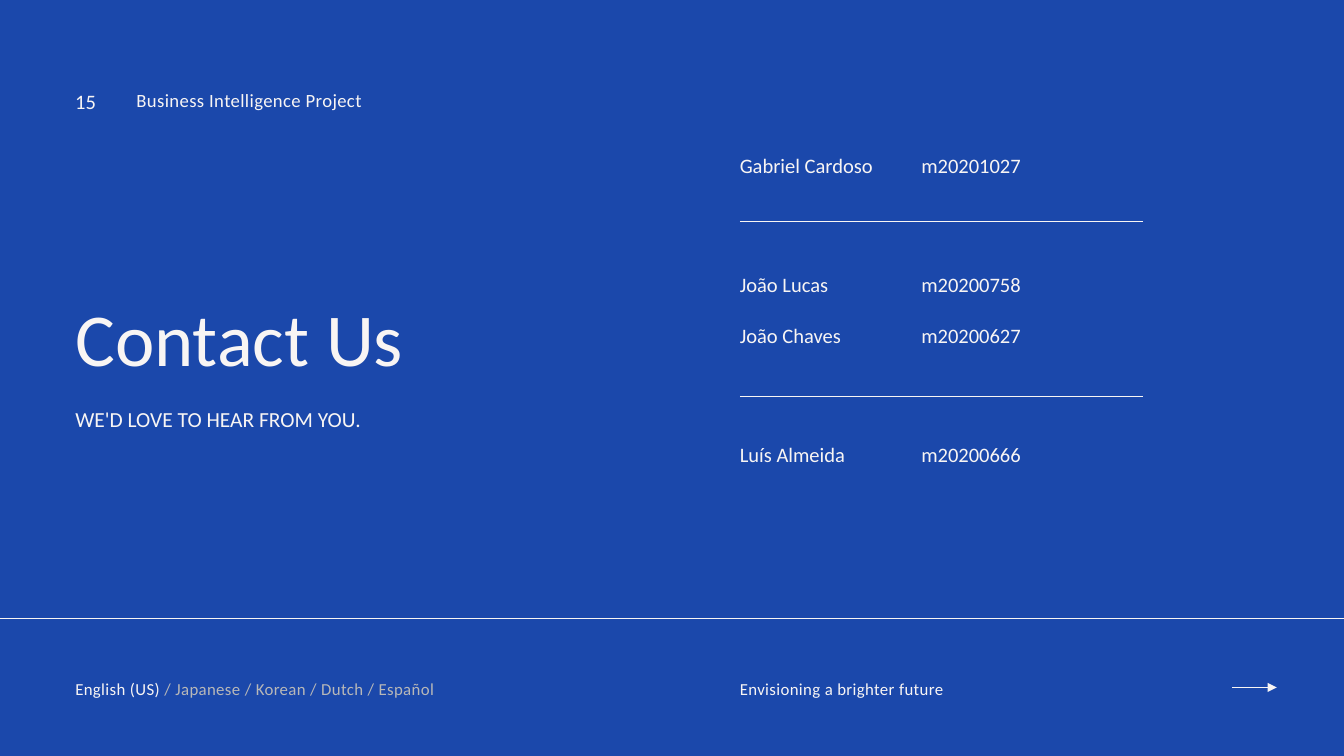
"""Build the closing contact slide with its team list and footer."""
import dataclasses

import pptx
import pptx.dml.color
import pptx.enum.shapes
import pptx.enum.text
import pptx.oxml
import pptx.oxml.ns
import pptx.util

Inches = pptx.util.Inches
Pt = pptx.util.Pt
RGB = pptx.dml.color.RGBColor.from_string


@dataclasses.dataclass(frozen=True)
class Theme:
    back: str = "1B48AB"
    light: str = "F8F5F4"
    muted: str = "B8B8B8"
    font: str = "Calibri"
    title: int = 80
    tag: int = 23
    body: int = 22
    head: int = 20
    foot: int = 18
    track: int = 40


THEME = Theme()
LEFT, RIGHT, WIDE = 1.12, 11.01, 6
TAB = 2.7
TEAM = (
    ("Gabriel Cardoso", "m20201027", 2.21),
    ("João Lucas", "m20200758", 3.98),
    ("João Chaves", "m20200627", 4.74),
    ("Luís Almeida", "m20200666", 6.52),
)


def add_node(parent, xml):
    node = pptx.oxml.parse_xml(xml.replace("/>", f" {pptx.oxml.ns.nsdecls('a')}/>", 1)
                               if xml.endswith("/>") and xml.count("<") == 1
                               else xml.replace(">", f" {pptx.oxml.ns.nsdecls('a')}>", 1))
    parent.append(node)


def style_run(run, size, color=THEME.light, track=0):
    run.font.name = THEME.font
    run.font.size = Pt(size)
    run.font.color.rgb = RGB(color)
    if track:
        run._r.get_or_add_rPr().set("spc", str(track))


def set_text(shape, box, text, size, line, track=0):
    shape.left, shape.top, shape.width, shape.height = map(Inches, box)
    frame = shape.text_frame
    frame.text = text
    frame.word_wrap = True
    frame.auto_size = pptx.enum.text.MSO_AUTO_SIZE.NONE
    frame.vertical_anchor = pptx.enum.text.MSO_ANCHOR.TOP
    frame.margin_left = frame.margin_right = 0
    frame.margin_top = frame.margin_bottom = 0
    para = frame.paragraphs[0]
    para.alignment = pptx.enum.text.PP_ALIGN.LEFT
    para.line_spacing = Pt(line)
    para.space_before = Pt(0)
    for run in para.runs:
        style_run(run, size, track=track)
    return para


def add_text(slide, box, text, size, line, track=0):
    shape = slide.shapes.add_textbox(*map(Inches, box))
    return set_text(shape, box, text, size, line, track)


def add_team(slide):
    for name, code, top in TEAM:
        para = add_text(slide, (RIGHT, top, WIDE, 0.44),
                        f"{name}\t{code}", THEME.body, 30.8)
        add_node(para._p.get_or_add_pPr(),
                 f'<a:tabLst><a:tab pos="{Inches(TAB)}" algn="l"/></a:tabLst>')


def add_rule(slide, left, top, width, weight=0.75):
    rule = slide.shapes.add_connector(
        pptx.enum.shapes.MSO_CONNECTOR.STRAIGHT,
        Inches(left), Inches(top), Inches(left + width), Inches(top))
    rule.line.color.rgb = RGB(THEME.light)
    rule.line.width = Pt(weight)
    add_node(rule._element.spPr, "<a:effectLst/>")
    return rule


def add_arrow(slide, left, top, width):
    arrow = add_rule(slide, left, top, width, 1.5)
    add_node(arrow.line._get_or_add_ln(),
             '<a:tailEnd type="triangle" w="lg" len="lg"/>')


def add_foot(slide):
    add_rule(slide, 0, 9.2, 20)
    add_text(slide, (RIGHT, 10.05, 4.86, 0.33), "Envisioning a brighter future",
             THEME.foot, 25.2, THEME.track)
    para = add_text(slide, (LEFT, 10.05, 7.62, 0.33), "English (US) ",
                    THEME.foot, 25.2, THEME.track)
    rest = para.add_run()
    rest.text = "/ Japanese / Korean / Dutch / Español"
    style_run(rest, THEME.foot, THEME.muted, THEME.track)
    add_arrow(slide, 18.34, 10.23, 0.66)


def main():
    deck = pptx.Presentation()
    deck.slide_width, deck.slide_height = Inches(20), Inches(11.25)
    slide = deck.slides.add_slide(deck.slide_layouts[0])
    slide.background.fill.solid()
    slide.background.fill.fore_color.rgb = RGB(THEME.back)
    set_text(slide.shapes.title, (LEFT, 4.34, 7.45, 1.41),
             "Contact Us", THEME.title, 96)
    set_text(slide.placeholders[1], (LEFT, 6.04, 7.45, 0.4),
             "WE'D LOVE TO HEAR FROM YOU.", THEME.tag, 27.6)
    add_text(slide, (LEFT, 1.26, 0.44, 0.41), "15", THEME.body, 30.8)
    add_text(slide, (2.03, 1.27, 5.81, 0.38), "Business Intelligence Project",
             THEME.head, 28, THEME.track)
    add_team(slide)
    for top in (3.29, 5.9):
        add_rule(slide, RIGHT, top, WIDE)
    add_foot(slide)
    deck.save("out.pptx")


if __name__ == "__main__":
    main()
